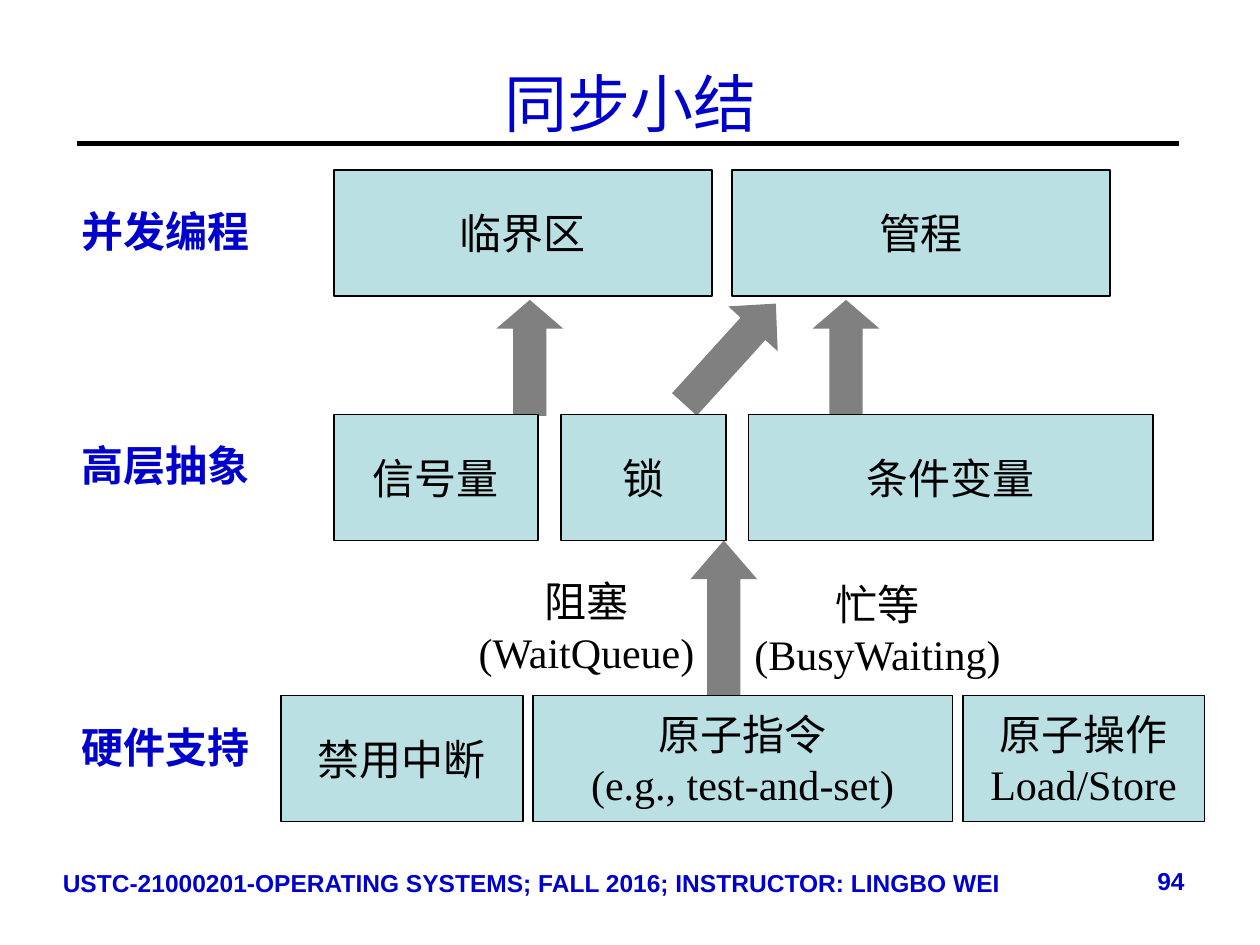
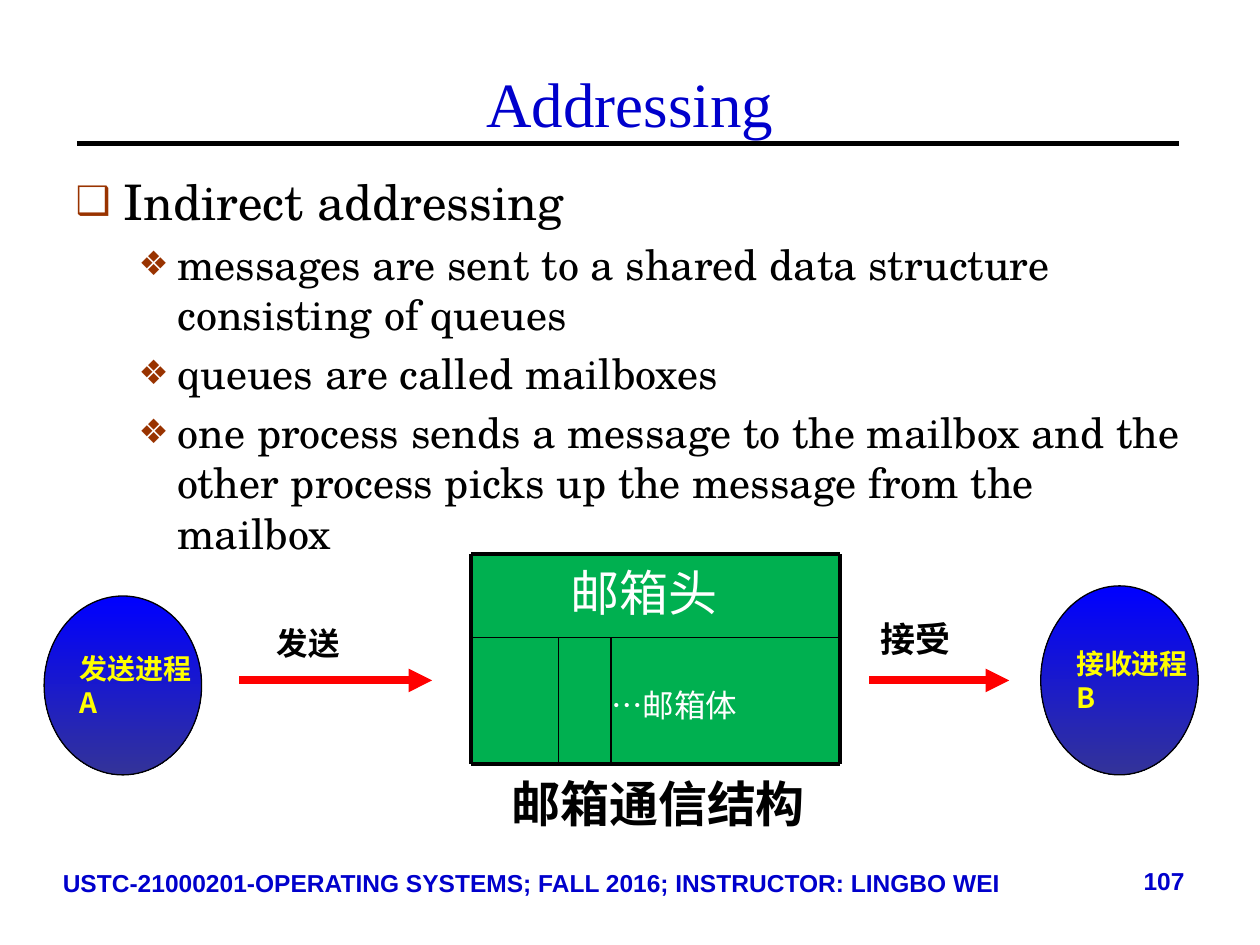
from dataclasses import dataclass
from typing import NamedTuple

from pptx import Presentation
from pptx.dml.color import RGBColor as Rgb
from pptx.enum.shapes import MSO_CONNECTOR as Line, MSO_SHAPE as Kind
from pptx.enum.text import MSO_ANCHOR as Anchor, MSO_AUTO_SIZE as Fit, PP_ALIGN as Align
from pptx.oxml.xmlchemy import OxmlElement as Node
from pptx.util import Inches, Pt


class Box(NamedTuple):
    x: float
    y: float
    w: float
    h: float

    def inner(self, x, y, w, h):
        """A box placed relative to this one."""
        return Box(self.x + x, self.y + y, w, h)

    def units(self):
        return [Inches(v) for v in self]


class Type(NamedTuple):
    font: str
    size: int
    color: str
    bold: bool = False


@dataclass(frozen=True)
class Theme:
    east = "Noto Sans CJK SC"
    black = "000000"
    blue = "0000CC"
    pale = "BBE0E3"
    gray = "808080"
    green = "00B050"
    red = "FF0000"
    bullet = "993300"
    oval = ("0000FF", "333399")
    title = Type("Times New Roman", 36, blue)
    foot = Type("Arial", 14, blue, True)
    layer = Type("Arial", 24, blue, True)
    block = Type("Times New Roman", 24, black)
    lists = (Type("TeX Gyre Schola", 28, black), Type("TeX Gyre Schola", 24, black))
    process = Type(east, 16, "FFFF00", True)
    head = Type("Arial", 28, "FFFFFF")
    cell = Type("Arial", 18, "FFFFFF")
    send = Type("Arial", 18, black, True)
    receive = Type("Arial", 20, black, True)
    caption = Type("Arial", 28, black, True)


THEME = Theme()
PAGE = Box(0, 0, 10, 7.5)
COURSE = "USTC-21000201-OPERATING SYSTEMS; FALL 2016; INSTRUCTOR: LINGBO WEI"


# Shared helpers
def setup(item, **values):
    for name, value in values.items():
        setattr(item, name, value)


def place(shape, box):
    setup(shape, **dict(zip(("left", "top", "width", "height"), box.units())))


def child(parent, tag, **values):
    node = Node(tag)
    for name, value in values.items():
        node.set(name, value)
    parent.append(node)
    return node


def style(run, kind):
    setup(run.font, name=kind.font, size=Pt(kind.size), bold=kind.bold)
    run.font.color.rgb = Rgb.from_string(kind.color)
    child(run._r.get_or_add_rPr(), "a:ea", typeface=THEME.east)


def write(shape, text, kind, align=Align.LEFT, anchor=Anchor.TOP, wrap=True):
    frame = shape.text_frame
    setup(frame, text=text, auto_size=Fit.NONE, word_wrap=wrap, vertical_anchor=anchor)
    for para in frame.paragraphs:
        para.alignment = align
        for run in para.runs:
            style(run, kind)


def label(slide, box, text, kind, align=Align.LEFT, wrap=True):
    write(slide.shapes.add_textbox(*box.units()), text, kind, align, wrap=wrap)


def draw(slide, kind, box, fill=None, width=0):
    shape = slide.shapes.add_shape(kind, *box.units())
    shape.shadow.inherit = False
    if fill:
        shape.fill.solid()
        shape.fill.fore_color.rgb = Rgb.from_string(fill)
    if width:
        shape.line.color.rgb = Rgb.from_string(THEME.black)
        shape.line.width = Pt(width)
    else:
        shape.line.fill.background()
    return shape


def rule(slide, x1, y1, x2, y2, width, color=THEME.black, arrow=False):
    ends = [Inches(v) for v in (x1, y1, x2, y2)]
    line = slide.shapes.add_connector(Line.STRAIGHT, *ends)
    line.line.color.rgb = Rgb.from_string(color)
    line.line.width = Pt(width)
    if arrow:
        child(line.get_or_add_ln(), "a:tailEnd", type="triangle")
    child(line._element.spPr, "a:effectLst")


# Title, rule and footer of every slide
def frame(deck, layout, title, number, box=PAGE):
    slide = deck.slides.add_slide(deck.slide_layouts.get_by_name(layout))
    rule(slide, box.x + 0.61, box.y + 1.14, box.x + 9.36, box.y + 1.14, 3)
    place(slide.shapes.title, box.inner(0.5, 0.19, 9, 1.25))
    write(slide.shapes.title, title, THEME.title, Align.CENTER, Anchor.MIDDLE)
    label(slide, box.inner(0.4, 6.84, 7.88, 0.52), COURSE, THEME.foot)
    label(slide, box.inner(8.49, 6.82, 1.01, 0.52), number, THEME.foot, Align.RIGHT)
    return slide


# One layer: its name and a row of blocks
def layer(slide, box, name, drop, start, gap, blocks):
    label(slide, box.inner(0, drop, 1.55, 0.51), name, THEME.layer, Align.CENTER, False)
    for text, width in blocks:
        shape = draw(slide, Kind.RECTANGLE, box.inner(start, 0, width, box.h), THEME.pale, 1)
        write(shape, text, THEME.block, Align.CENTER, Anchor.MIDDLE, False)
        start += width + gap


# Arrows and notes between the layers
def links(slide, box):
    arrows = (
        (3.4, 1.03, 0.92, 0.43, 0),
        (5.91, 1.03, 0.92, 0.43, 0),
        (4.99, 0.92, 1.08, 0.51, 42.2),
        (4.94, 2.94, 1.23, 0.58, 0),
    )
    for x, y, height, tip, turn in arrows:
        arrow = draw(slide, Kind.UP_ARROW, box.inner(x, y, 0.53, height), THEME.gray)
        arrow.adjustments[0] = 0.5
        arrow.adjustments[1] = tip
        arrow.rotation = turn
    notes = (("阻塞\n(WaitQueue)", 3.15, 3.17, 1.93), ("忙等\n(BusyWaiting)", 5.34, 3.19, 2.17))
    for text, x, y, width in notes:
        label(slide, box.inner(x, y, width, 0.91), text, THEME.block, Align.CENTER, False)


def summary(deck):
    slide = frame(deck, "Title Only", "同步小结", "94")
    area = Box(0.54, 1.35, 9.03, 5.17)
    links(slide, area)
    layers = (
        (0, "并发编程", 0.23, 2.11, 0.16, (("临界区", 3), ("管程", 3))),
        (1.94, "高层抽象", 0.15, 2.11, 0.18, (("信号量", 1.62), ("锁", 1.31), ("条件变量", 3.21))),
        (4.17, "硬件支持", 0.16, 1.69, 0.08,
         (("禁用中断", 1.92), ("原子指令\n(e.g., test-and-set)", 3.33), ("原子操作\nLoad/Store", 1.92))),
    )
    for y, *rest in layers:
        layer(slide, area.inner(0, y, area.w, 1), *rest)


# Bulleted list in the body placeholder
def outline(slide, box, items):
    body = slide.placeholders[1]
    place(body, box)
    body.text_frame.text = "\n".join(text for _, text in items)
    setup(body.text_frame, auto_size=Fit.NONE, word_wrap=True, vertical_anchor=Anchor.TOP)
    marks = (("❑", 0.38, 0.38), ("❖", 0.81, 0.31))
    for para, (level, _) in zip(body.text_frame.paragraphs, items):
        mark, left, hang = marks[level]
        para.level = level
        props = para._p.get_or_add_pPr()
        props.set("marL", str(Inches(left)))
        props.set("indent", str(-Inches(hang)))
        space = child(props, "a:spcBef")
        child(space, "a:spcPct", val="20000")
        child(child(props, "a:buClr"), "a:srgbClr", val=THEME.bullet)
        child(props, "a:buSzPct", val="80000")
        child(props, "a:buChar", char=mark)
        style(para.runs[0], THEME.lists[level])


# Process oval with a vertical gradient
def process(slide, box, text):
    oval = draw(slide, Kind.OVAL, box, width=0.75)
    oval.fill.gradient()
    oval.fill.gradient_angle = 270
    for stop, color in zip(oval.fill.gradient_stops, THEME.oval):
        stop.color.rgb = Rgb.from_string(color)
    write(oval, text, THEME.process, anchor=Anchor.MIDDLE, wrap=False)


# Mailbox: header over a body split into cells
def mailbox(slide, box):
    split = 0.66
    head = draw(slide, Kind.RECTANGLE, box.inner(0, 0, box.w, split), THEME.green)
    write(head, "邮箱头", THEME.head, Align.CENTER, Anchor.MIDDLE)
    setup(head.text_frame, margin_right=Inches(0.28), margin_bottom=Inches(0.12))
    body = draw(slide, Kind.RECTANGLE, box.inner(0, split, box.w, box.h - split), THEME.green)
    write(body, "…邮箱体", THEME.cell, anchor=Anchor.MIDDLE)
    setup(body.text_frame, margin_left=Inches(1.11), margin_top=Inches(0.12))
    for y, width in ((0, 2.25), (split, 1), (box.h, 2.25)):
        rule(slide, box.x, box.y + y, box.x + box.w, box.y + y, width)
    for x, top, width in ((0, 0, 2.25), (box.w, 0, 2.25), (0.69, split, 0.75), (1.11, split, 0.75)):
        rule(slide, box.x + x, box.y + top, box.x + x, box.y + box.h, width)


# Sender, mailbox and receiver
def exchange(slide, box):
    process(slide, box.inner(0, 0.33, 1.25, 1.42), "发送进程\nA")
    mailbox(slide, box.inner(3.39, 0, 2.93, 1.66))
    process(slide, box.inner(7.91, 0.25, 1.25, 1.5), "接收进程\nB")
    for start, end in ((1.55, 3.08), (6.55, 7.66)):
        rule(slide, box.x + start, box.y + 1, box.x + end, box.y + 1, 4.5, THEME.red, True)
    label(slide, box.inner(1.75, 0.5, 1, 0.5), "发送", THEME.send)
    label(slide, box.inner(6.54, 0.45, 0.99, 0.43), "接受", THEME.receive)
    label(slide, box.inner(3.61, 1.69, 5.28, 0.57), "邮箱通信结构", THEME.caption)


def address(deck):
    slide = frame(deck, "Title and Content", "Addressing", "107")
    outline(slide, Box(0.5, 1.31, 9, 2.85), (
        (0, "Indirect addressing"),
        (1, "messages are sent to a shared data structure consisting of queues"),
        (1, "queues are called mailboxes"),
        (1, "one process sends a message to the mailbox and the other process "
            "picks up the message from the mailbox"),
    ))
    exchange(slide, Box(0.35, 4.4, 9.16, 2.26))


def main():
    deck = Presentation()
    setup(deck, slide_width=Inches(PAGE.w), slide_height=Inches(PAGE.h))
    summary(deck)
    address(deck)
    deck.save("out.pptx")


if __name__ == "__main__":
    main()
